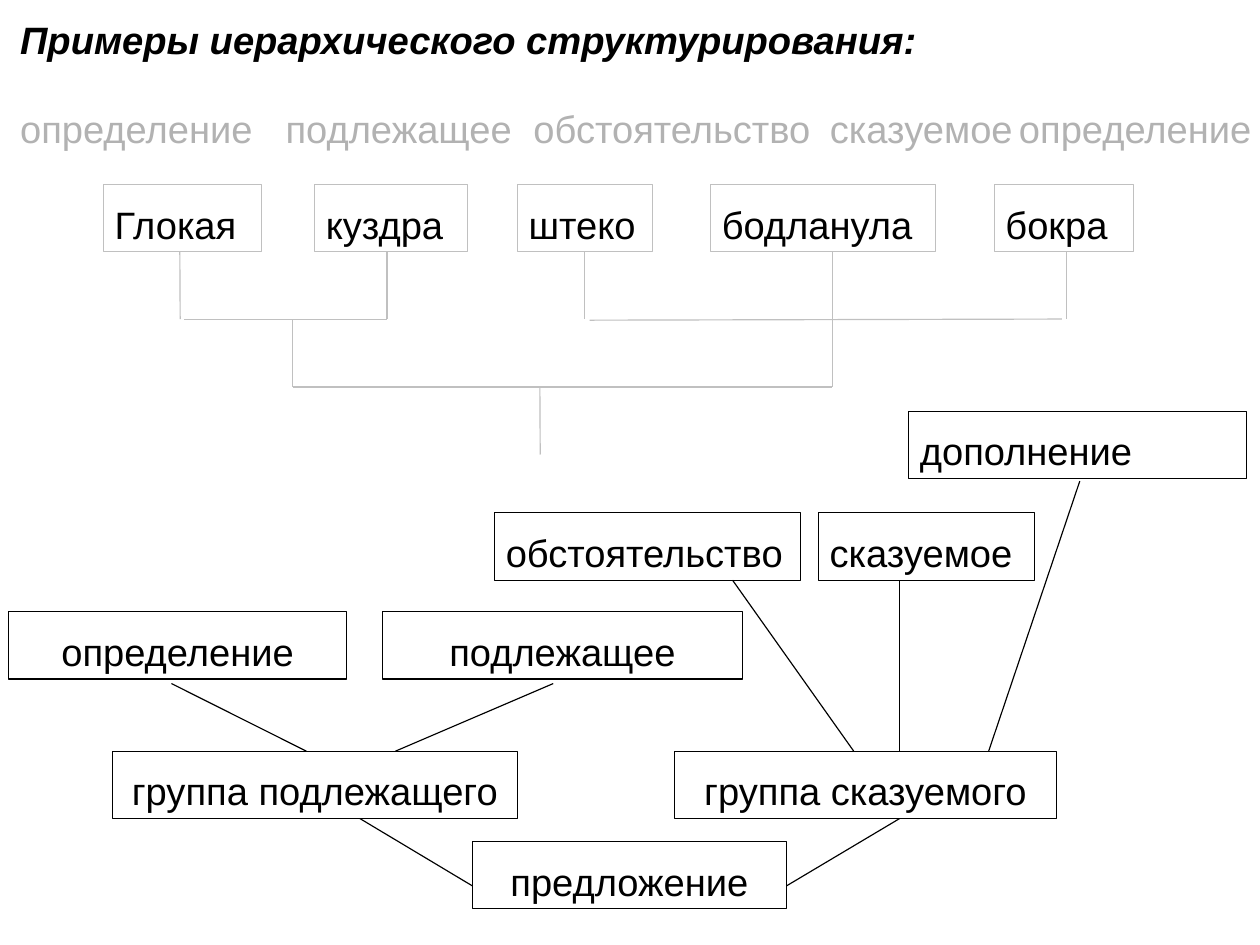
import pptx
import pptx.dml.color
import pptx.enum.shapes
import pptx.enum.text
import pptx.oxml
import pptx.util
from dataclasses import dataclass

Pt = pptx.util.Pt
ALIGN = pptx.enum.text.PP_ALIGN
BLACK, SILVER, GRAY = "000000", "C0C0C0", "B2B2B2"
BOX_H = 42.5
LABEL_Y, WORD_Y = 56.2, 116.2
WORD_BOTTOM = WORD_Y + BOX_H
JOIN_Y, MERGE_Y, ROOT_Y = 201.3, 243.8, 286.3
TOP_Y, PART_Y, MEMBER_Y, GROUP_Y, SENTENCE_Y = 259, 323, 385.2, 473.2, 530


@dataclass
class Box:
    text: str
    x: float
    y: float
    w: float
    line: str = BLACK
    align: ALIGN = ALIGN.LEFT


@dataclass
class Line:
    x1: float
    y1: float
    x2: float
    y2: float
    color: str = BLACK
    start: str = ""


LABELS = [
    Box("определение", 5.6, LABEL_Y, 170),
    Box("подлежащее", 172.8, LABEL_Y, 170),
    Box("обстоятельство", 329, LABEL_Y, 204.5),
    Box("сказуемое", 515.7, LABEL_Y, 170),
    Box("определение", 634.8, LABEL_Y, 170),
]
WORDS = [
    Box("Глокая", 65.2, WORD_Y, 99.4, SILVER),
    Box("куздра", 198.2, WORD_Y, 96.5, SILVER),
    Box("штеко", 325.9, WORD_Y, 85, SILVER),
    Box("бодланула", 447.6, WORD_Y, 141.8, SILVER),
    Box("бокра", 626.3, WORD_Y, 87.8, SILVER),
]
TREE = [
    Box("определение", 5.6, MEMBER_Y, 212.6, align=ALIGN.CENTER),
    Box("дополнение", 572.4, TOP_Y, 212.6),
    Box("подлежащее", 241, MEMBER_Y, 226.6, align=ALIGN.CENTER),
    Box("группа подлежащего", 70.8, GROUP_Y, 255, align=ALIGN.CENTER),
    Box("сказуемое", 515.5, PART_Y, 136.1),
    Box("обстоятельство", 311.5, PART_Y, 193),
    Box("группа сказуемого", 424.8, GROUP_Y, 240.7, align=ALIGN.CENTER),
    Box("предложение", 297.5, SENTENCE_Y, 198, align=ALIGN.CENTER),
]
LINES = [
    Line(113.3, WORD_BOTTOM, 113.5, 201, SILVER),
    Line(243.8, WORD_BOTTOM, 243.8, 201, SILVER),
    Line(368.4, WORD_BOTTOM, 368.4, 201, SILVER, start="штеко"),
    Line(524.3, WORD_BOTTOM, 524.3, 201, SILVER),
    Line(671.8, WORD_BOTTOM, 671.8, 201, SILVER),
    Line(116.2, JOIN_Y, 243.8, JOIN_Y, SILVER),
    Line(184.3, JOIN_Y, 184.3, MERGE_Y, SILVER),
    Line(371.5, 201.7, 668.9, 201, SILVER),
    Line(524.3, JOIN_Y, 524.3, MERGE_Y, SILVER),
    Line(184.3, MERGE_Y, 524.3, MERGE_Y, SILVER),
    Line(340.1, MERGE_Y, 340.3, ROOT_Y, SILVER),
    Line(108, 430.6, 193, GROUP_Y),
    Line(348.5, 430.6, 249.1, GROUP_Y),
    Line(461.5, PART_Y + BOX_H, 537.8, GROUP_Y),
    Line(566.6, PART_Y + BOX_H, 566.6, GROUP_Y),
    Line(680.2, 303.1, 622.8, GROUP_Y),
    Line(226.8, GROUP_Y + BOX_H, 297.5, 558),
    Line(566.6, GROUP_Y + BOX_H, 495.5, 558),
]


def rgb(color: str) -> pptx.dml.color.RGBColor:
    return pptx.dml.color.RGBColor.from_string(color)


def write(sp, text: str, *, color: str = BLACK, align=ALIGN.LEFT, spacing: float = 1.24,
          before: float = 0, bold: bool = False, italic: bool = False, wrap: bool = True) -> None:
    """Fill a shape with one formatted paragraph."""
    tf = sp.text_frame
    tf.word_wrap = wrap
    tf.vertical_anchor = pptx.enum.text.MSO_ANCHOR.TOP
    tf.margin_left = tf.margin_right = Pt(7.2)
    tf.margin_top = tf.margin_bottom = Pt(3.6)
    p = tf.paragraphs[0]
    p.alignment, p.line_spacing, p.space_before = align, spacing, Pt(before)
    r = p.add_run()
    r.text = text
    r.font.name, r.font.size = "Arial", Pt(24)
    r.font.bold, r.font.italic = bold, italic
    r.font.color.rgb = rgb(color)


def add_box(s, box: Box):
    sp = s.shapes.add_shape(pptx.enum.shapes.MSO_SHAPE.RECTANGLE,
                            Pt(box.x), Pt(box.y), Pt(box.w), Pt(BOX_H))
    sp.shadow.inherit = False
    sp.fill.background()
    sp.line.color.rgb = rgb(box.line)
    sp.line.width = Pt(0.75)
    write(sp, box.text, align=box.align)
    return sp


def add_line(s, line: Line, words: dict) -> None:
    cn = s.shapes.add_connector(pptx.enum.shapes.MSO_CONNECTOR.STRAIGHT,
                                Pt(line.x1), Pt(line.y1), Pt(line.x2), Pt(line.y2))
    cn.line.color.rgb = rgb(line.color)
    cn.line.width = Pt(0.75)
    if line.start:
        cn.begin_connect(words[line.start], 2)
    effects = '<a:effectLst xmlns:a="http://schemas.openxmlformats.org/drawingml/2006/main"/>'
    cn._element.spPr.append(pptx.oxml.parse_xml(effects))


def main() -> None:
    prs = pptx.Presentation()
    prs.slide_width, prs.slide_height = Pt(793.7), Pt(595.28)
    s = prs.slides.add_slide(prs.slide_layouts[6])
    words = {box.text: add_box(s, box) for box in WORDS}
    for label in LABELS:
        sp = s.shapes.add_textbox(Pt(label.x), Pt(label.y), Pt(label.w), Pt(BOX_H))
        write(sp, label.text, color=GRAY)
    for box in TREE:
        add_box(s, box)
    for line in LINES:
        add_line(s, line, words)
    title = s.shapes.add_textbox(Pt(5.6), Pt(6.5), Pt(748), Pt(36))
    write(title, "Примеры иерархического структурирования:",
          spacing=1.0, before=15, bold=True, italic=True)
    prs.save("out.pptx")


if __name__ == "__main__":
    main()
